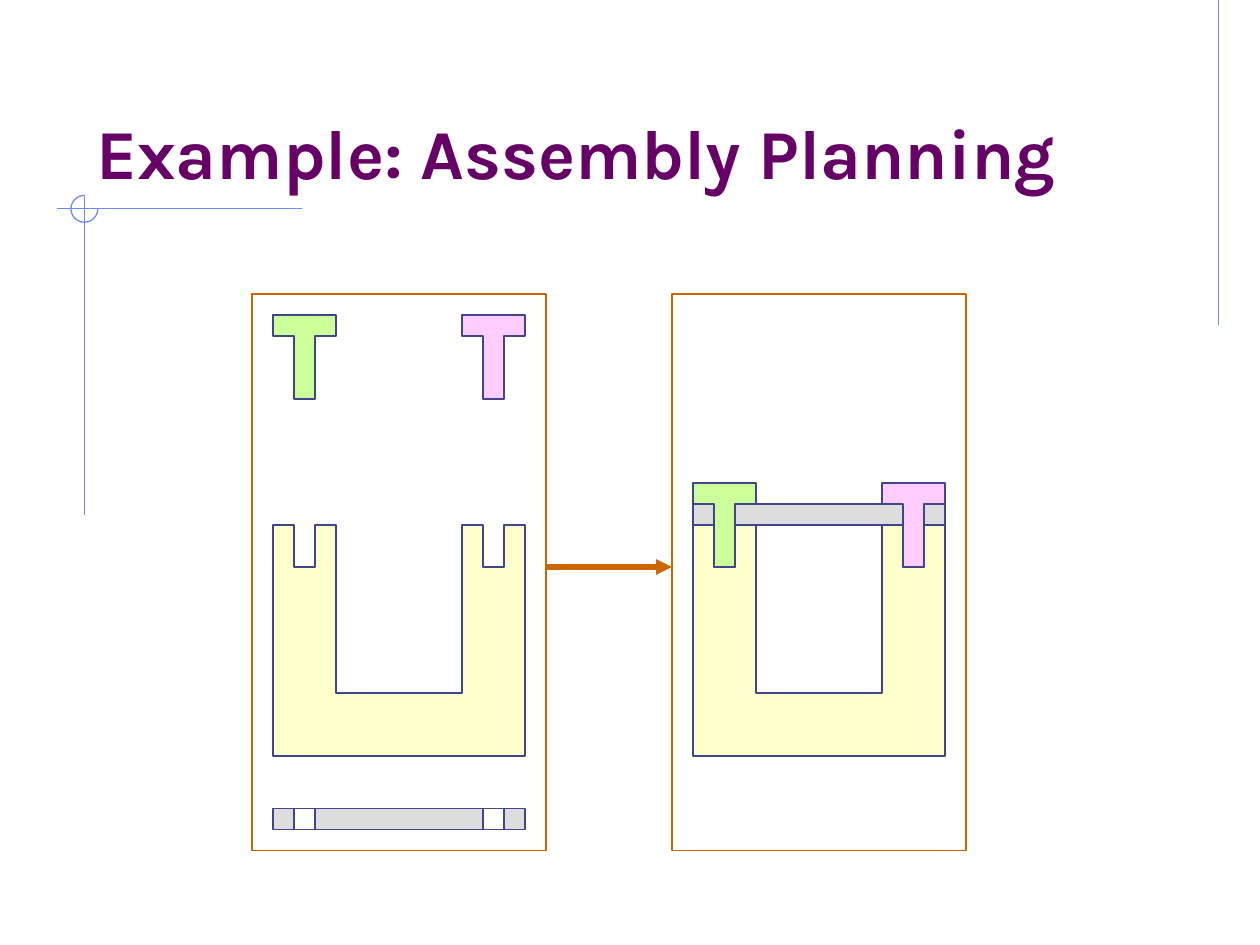
from dataclasses import dataclass

import pptx
import pptx.dml.color
import pptx.enum.shapes
import pptx.enum.text
import pptx.oxml
import pptx.oxml.ns
import pptx.util

SHAPE = pptx.enum.shapes.MSO_SHAPE
STRAIGHT = pptx.enum.shapes.MSO_CONNECTOR.STRAIGHT
CELL = pptx.util.Inches(1) // 6  # grid step: 60 columns by 45 rows


@dataclass(frozen=True)
class Theme:
    font: str = "Karla"
    title_size: int = 40
    thin: float = 0.75
    thick: float = 3
    title: str = "660066"
    ornament: str = "6F89F7"
    edge: str = "40458C"
    frame: str = "CC6600"
    bracket: str = "FFFFCC"
    plate: str = "DDDDDD"
    hole: str = "FFFFFF"
    left_bolt: str = "CCFF99"
    right_bolt: str = "FFCCFF"


THEME = Theme()

# Outlines in grid cells, relative to the part's top left corner
BOLT = [(0, 0), (3, 0), (3, 1), (2, 1), (2, 4), (1, 4), (1, 1), (0, 1)]
BRACKET = [(0, 0), (1, 0), (1, 2), (2, 2), (2, 0), (3, 0), (3, 8), (9, 8),
           (9, 0), (10, 0), (10, 2), (11, 2), (11, 0), (12, 0), (12, 11), (0, 11)]


def rgb(colour):
    return pptx.dml.color.RGBColor.from_string(colour)


def cells(*counts):
    return [round(count * CELL) for count in counts]


def paint(shape, fill, edge):
    shape.shadow.inherit = False
    if fill:
        shape.fill.solid()
        shape.fill.fore_color.rgb = rgb(fill)
    else:
        shape.fill.background()
    shape.line.color.rgb = rgb(edge)
    shape.line.width = pptx.util.Pt(THEME.thin)


def add_preset(slide, kind, box, fill, edge):
    shape = slide.shapes.add_shape(kind, *cells(*box))
    paint(shape, fill, edge)
    return shape


def add_outline(slide, left, top, outline, fill):
    points = [(left + x, top + y) for x, y in outline]
    builder = slide.shapes.build_freeform(*points[0], scale=CELL)
    builder.add_line_segments(points[1:], close=True)
    paint(builder.convert_to_shape(), fill, THEME.edge)


def add_line(slide, start, end, colour, width, arrow=False):
    line = slide.shapes.add_connector(STRAIGHT, *cells(*start, *end))
    line.line.color.rgb = rgb(colour)
    line.line.width = pptx.util.Pt(width)
    if arrow:
        head = pptx.oxml.parse_xml(
            f'<a:tailEnd {pptx.oxml.ns.nsdecls("a")} type="triangle"/>')
        line.line._get_or_add_ln().append(head)
    properties = line._element.spPr
    properties.append(properties.makeelement(pptx.oxml.ns.qn("a:effectLst"), {}))


def add_ornament(slide, box):
    """Draw the ruled lines and the three-quarter ring beside the title."""
    left, top, width, height = box
    across, down = left + 0.067 * width, top + 0.221 * height
    radius = 0.64
    edge_x = left + 0.967 * width
    lines = [
        ((edge_x, top), (edge_x, top + 0.344 * height)),
        ((left + 0.24 * width, down), (left + 0.045 * width, down)),
        ((across, down - radius), (across, top + 0.545 * height)),
    ]
    for start, end in lines:
        add_line(slide, start, end, THEME.ornament, THEME.thin)
    ring = add_preset(slide, SHAPE.ARC,
                      (across - radius, down - radius, 2 * radius, 2 * radius),
                      None, THEME.ornament)
    ring.adjustments[0] = 0
    ring.adjustments[1] = 162  # 270 degrees


def add_title(slide, box, text):
    frame = slide.shapes.add_textbox(*cells(*box)).text_frame
    frame.word_wrap = True
    frame.vertical_anchor = pptx.enum.text.MSO_ANCHOR.BOTTOM
    paragraph = frame.paragraphs[0]
    paragraph.text = text
    font = paragraph.runs[0].font
    font_format = {"name": THEME.font, "size": pptx.util.Pt(THEME.title_size),
                   "bold": True}
    for attribute, value in font_format.items():
        setattr(font, attribute, value)
    font.color.rgb = rgb(THEME.title)


def add_assembly(slide, box, plate_row, bolt_row):
    """Draw the framed parts, with plate and bolts at rows counted from the box top."""
    left, top, _, _ = box
    inner = left + 1
    plate_top = top + plate_row
    add_outline(slide, inner, top + 11, BRACKET, THEME.bracket)
    plate_parts = [(0, 12, THEME.plate), (10, 1, THEME.hole), (1, 1, THEME.hole)]
    for column, width, fill in plate_parts:
        add_preset(slide, SHAPE.RECTANGLE, (inner + column, plate_top, width, 1),
                   fill, THEME.edge)
    for column, fill in [(0, THEME.left_bolt), (9, THEME.right_bolt)]:
        add_outline(slide, inner + column, top + bolt_row, BOLT, fill)
    add_preset(slide, SHAPE.RECTANGLE, box, None, THEME.frame)


def add_step_arrow(slide, box):
    """Draw the two-piece arrow along the top edge of its box."""
    left, top, width, _ = box
    joint = (left + width / 4, top)
    add_line(slide, joint, (left + width, top), THEME.frame, THEME.thick, arrow=True)
    add_line(slide, joint, (left, top), THEME.frame, THEME.thick)


def main():
    presentation = pptx.Presentation()
    presentation.slide_width, presentation.slide_height = cells(60, 45)
    slide = presentation.slides.add_slide(presentation.slide_layouts[6])
    add_ornament(slide, (0, 0, 60, 45))
    add_title(slide, (4, 2, 51, 7.5), "Example: Assembly Planning")
    add_assembly(slide, (12, 14, 14, 26.5), plate_row=24.5, bolt_row=1)
    add_assembly(slide, (32, 14, 14, 26.5), plate_row=10, bolt_row=9)
    add_step_arrow(slide, (26, 27, 6, 0))
    presentation.save("out.pptx")


if __name__ == "__main__":
    main()
